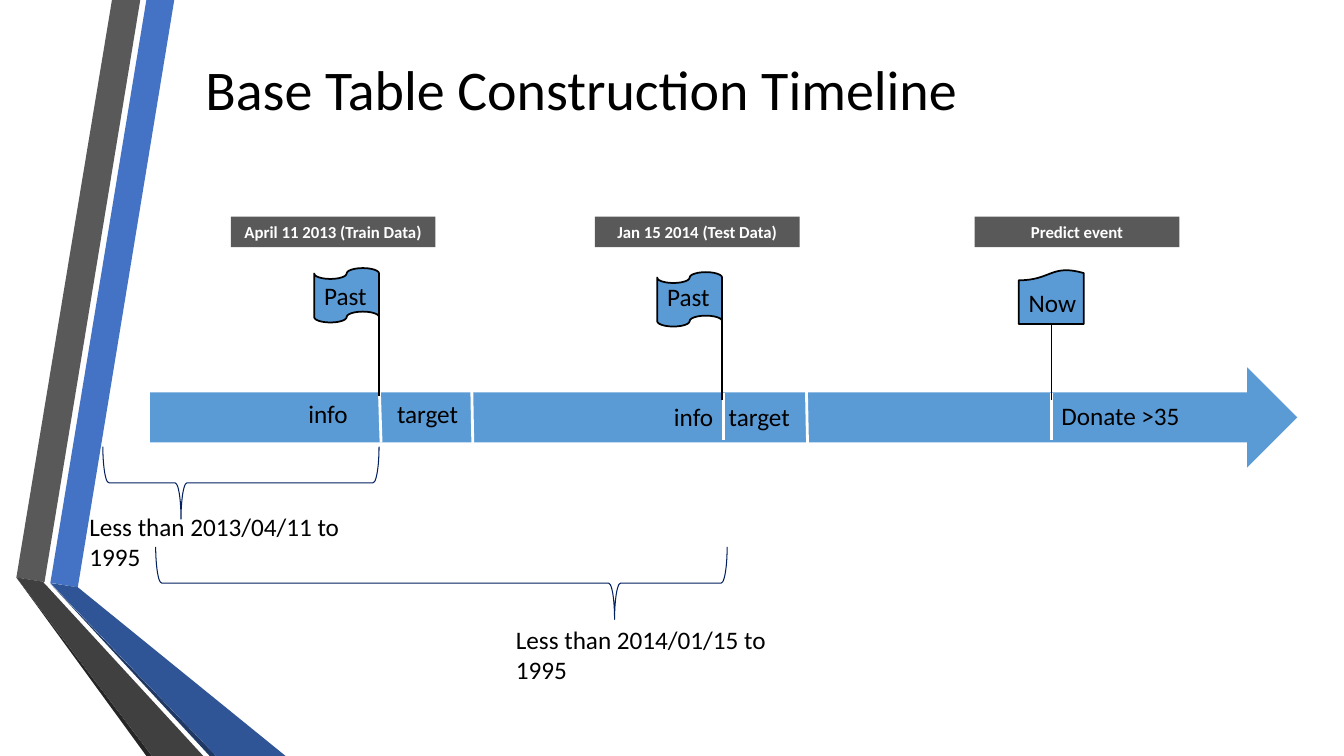
from pptx import Presentation
from pptx.dml.color import RGBColor
from pptx.enum.shapes import MSO_CONNECTOR, MSO_SHAPE
from pptx.enum.text import MSO_ANCHOR as ANCHOR, PP_ALIGN as ALIGN
from pptx.oxml.ns import qn
from pptx.util import Pt
from lxml.etree import SubElement

BLACK = RGBColor(0x00, 0x00, 0x00)
WHITE = RGBColor(0xFF, 0xFF, 0xFF)
GREY = RGBColor(0x59, 0x59, 0x59)
DARK_GREY = RGBColor(0x40, 0x40, 0x40)
DEEP_GREY = RGBColor(0x26, 0x26, 0x26)
BLUE = RGBColor(0x44, 0x72, 0xC4)
DARK_BLUE = RGBColor(0x2F, 0x55, 0x97)
DEEP_BLUE = RGBColor(0x20, 0x38, 0x64)
SKY = RGBColor(0x5B, 0x9B, 0xD5)
NAVY = RGBColor(0x00, 0x20, 0x60)
FONT = "Calibri"

TITLE = "Base Table Construction Timeline"
RIBBONS = [
    (BLUE, [(36, 416.3), (55.6, 419.5), (124.5, 0), (104.6, 0)]),
    (GREY, [(100.2, 0), (80, 0), (11.7, 412.5), (31.8, 415.7)]),
    (DEEP_GREY, [(11.7, 412.5), (104.6, 540), (108.6, 540)]),
    (DEEP_BLUE, [(36, 416.9), (149.8, 540), (154.4, 540)]),
    (DARK_BLUE, [(36, 416.5), (154.4, 540), (204, 540), (55.6, 419.5)]),
    (DARK_GREY, [(145.2, 540), (34.6, 419.8), (31, 416), (31.8, 415.7),
                 (11.7, 412.5), (108.6, 540)]),
]
ARROW = (107.2, 262.4, 819.4, 71.6)
DIVIDERS = [
    (517, 314.6, 517, 280.8),
    (272.2, 316.1, 270.8, 272.9),
    (751.1, 314.6, 751.1, 280.8),
    (337.8, 320.4, 337, 277.9),
    (576.9, 320.4, 576, 277.9),
]
FLAG_SIZE = (46.4, 38.9)
TAPE, DOCUMENT = MSO_SHAPE.FLOWCHART_PUNCHED_TAPE, MSO_SHAPE.FLOWCHART_DOCUMENT
FLAGS = [
    # shape, left, top, rotation, pole x, pole top, pole bottom, pole width
][:0] + [
    (TAPE, 224.4, 191.5, 0, 270.8, 221, 283, 1.25),
    (TAPE, 469.4, 194.4, 0, 515.8, 223.5, 285.8, 1.25),
    (DOCUMENT, 727.7, 192.5, 180, 751, 231.4, 285.8, 0.75),
]
BRACES = [
    (146.2, 246.2, 51.8, 197.3, 0.717),
    (289.4, 212.4, 51.8, 408.2, 0.197),
]
LABELS = [
    ("April 11 2013 (Train Data)", 164.9),
    ("Jan 15\u00a02014 (Test Data)".replace("\u00a0", " "), 425),
    ("Predict event", 696.2),
]
LABEL_TOP, LABEL_WIDTH, LABEL_HEIGHT = 154.7, 146.2, 21.8
NOTES = [
    ("info", 213.1, 280.8, 72.7),
    ("target", 276.5, 280.8, 72.7),
    ("Past", 224.4, 196.6, 72.7),
    ("Past", 469.4, 197.1, 72.7),
    ("info", 474.3, 283, 72.7),
    ("target", 513.4, 283, 72.7),
    ("Donate >35", 751, 282.6, 112.3),
    ("Now", 727.7, 201.6, 72.7),
    ("Less than 2013/04/11 to 1995", 56.7, 361.4, 229.7),
    ("Less than 2014/01/15 to 1995", 361.4, 442.1, 229.7),
]
NOTE_HEIGHT = 29.1


def paint(shape, fill=None, line=None, width=1.25):
    shape.shadow.inherit = False
    if fill is None:
        shape.fill.background()
    else:
        shape.fill.solid()
        shape.fill.fore_color.rgb = fill
    if line is None:
        shape.line.fill.background()
    else:
        shape.line.color.rgb = line
        shape.line.width = Pt(width)


def add_shape(slide, kind, box, **style):
    shape = slide.shapes.add_shape(kind, *map(Pt, box))
    paint(shape, **style)
    return shape


def add_ribbon(slide, color, points):
    corners = [(Pt(x), Pt(y)) for x, y in points]
    builder = slide.shapes.build_freeform(*corners[0])
    builder.add_line_segments(corners[1:], close=True)
    paint(builder.convert_to_shape(), fill=color)


def add_line(slide, ends, color, width):
    line = slide.shapes.add_connector(MSO_CONNECTOR.STRAIGHT, *map(Pt, ends))
    line.line.color.rgb = color
    line.line.width = Pt(width)
    SubElement(line._element.spPr, qn("a:effectLst"))


def add_text(slide, text, box, size=18, color=BLACK, bold=False,
             align=ALIGN.LEFT, anchor=ANCHOR.TOP, fill=None):
    if fill is None:
        shape = slide.shapes.add_textbox(*map(Pt, box))
    else:
        shape = add_shape(slide, MSO_SHAPE.RECTANGLE, box, fill=fill)
    frame = shape.text_frame
    frame.word_wrap = True
    frame.vertical_anchor = anchor
    paragraph = frame.paragraphs[0]
    paragraph.alignment = align
    run = paragraph.add_run()
    run.text = text
    run.font.name = FONT
    run.font.size = Pt(size)
    run.font.bold = bold
    run.font.color.rgb = color


def main():
    presentation = Presentation()
    presentation.slide_width, presentation.slide_height = Pt(960), Pt(540)
    slide = presentation.slides.add_slide(presentation.slide_layouts[6])

    for color, points in RIBBONS:
        add_ribbon(slide, color, points)
    add_shape(slide, MSO_SHAPE.RIGHT_ARROW, ARROW, fill=SKY)
    for ends in DIVIDERS:
        add_line(slide, ends, WHITE, 2)
    add_text(slide, TITLE, (139.7, 33.1, 712.1, 59.8), size=40, anchor=ANCHOR.MIDDLE)

    for kind, left, top, rotation, x, pole_top, pole_bottom, width in FLAGS:
        flag = add_shape(slide, kind, (left, top, *FLAG_SIZE), fill=SKY, line=BLACK)
        flag.rotation = rotation
        add_line(slide, (x, pole_top, x, pole_bottom), BLACK, width)

    for *box, tip in BRACES:
        brace = add_shape(slide, MSO_SHAPE.RIGHT_BRACE, box, line=NAVY, width=0.75)
        brace.rotation = 90
        brace.adjustments[0] = 0.083
        brace.adjustments[1] = tip

    for text, left in LABELS:
        add_text(slide, text, (left, LABEL_TOP, LABEL_WIDTH, LABEL_HEIGHT), size=12,
                 color=WHITE, bold=True, align=ALIGN.CENTER, anchor=ANCHOR.MIDDLE,
                 fill=GREY)
    for text, left, top, width in NOTES:
        add_text(slide, text, (left, top, width, NOTE_HEIGHT))

    presentation.save("out.pptx")


if __name__ == "__main__":
    main()
